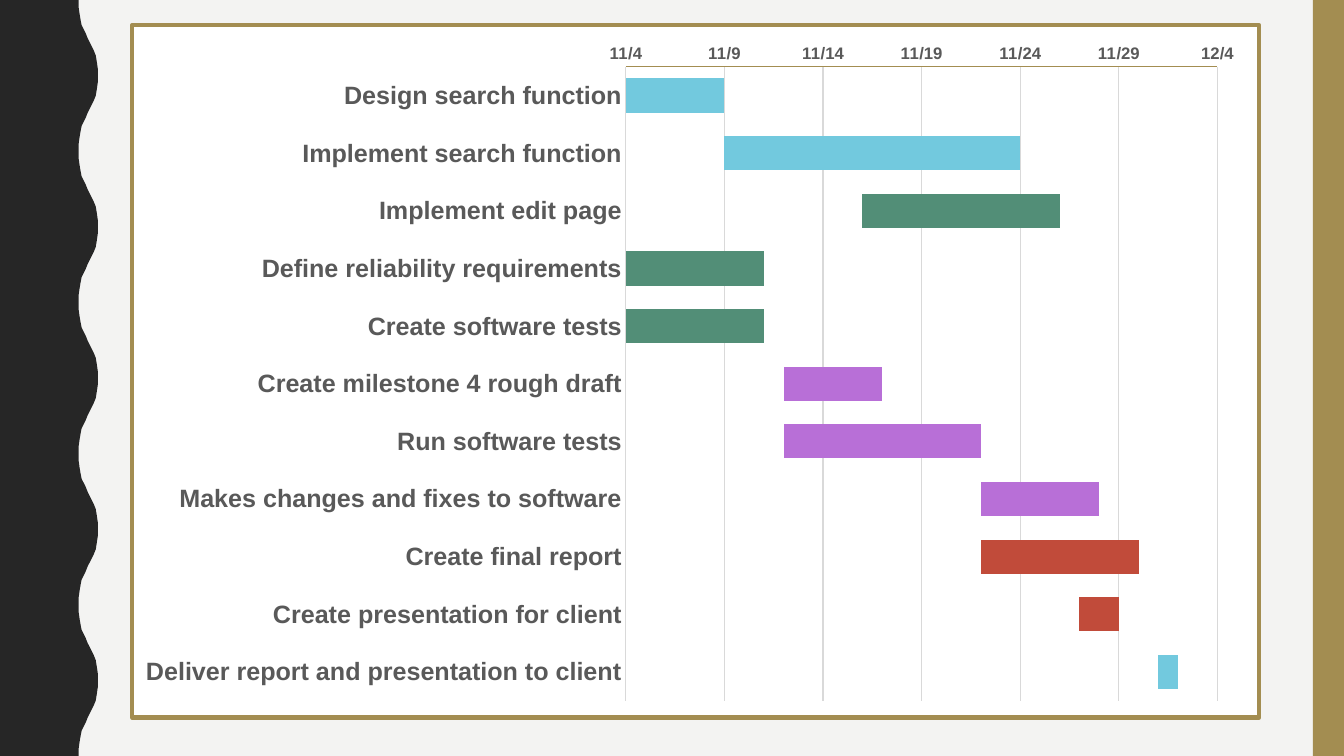
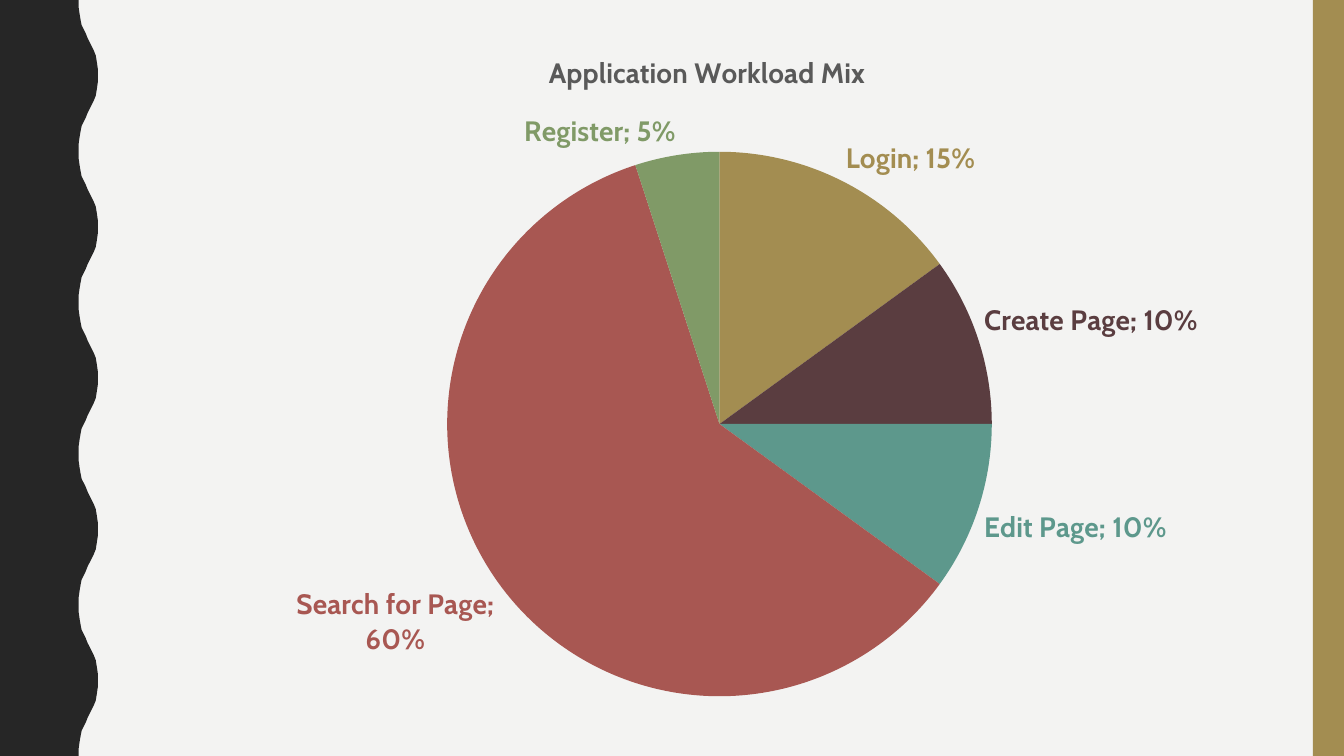
import pptx
import pptx.chart.data
import pptx.dml.color
import pptx.enum.chart
import pptx.enum.shapes
import pptx.oxml
import pptx.oxml.ns
import pptx.util

Inches, Pt = pptx.util.Inches, pptx.util.Pt
XL = pptx.enum.chart
NS = pptx.oxml.ns.nsdecls("c", "a")
qn = pptx.oxml.ns.qn

PAPER, INK, GOLD, GRAY, GRID, WHITE = "F3F3F2", "262626", "A38D51", "595959", "D9D9D9", "FFFFFF"
BLUE, GREEN, PURPLE, RED = "72C9DE", "528E77", "B86FD7", "C14B3A"
TINT = {BLUE: "BBE6EF", GREEN: "AFD3C5", PURPLE: "D5A8E7", RED: "E3B3AA"}

# Half a wave of the left edge, as (x, y); the other half mirrors it
HALF_WAVE = [(0.78, 0), (0.78, 0.07), (0.79, 0.14), (0.8, 0.2), (0.81, 0.25),
             (0.83, 0.29), (0.85, 0.33), (0.87, 0.38), (0.89, 0.42), (0.91, 0.46),
             (0.93, 0.5), (0.95, 0.55), (0.96, 0.61), (0.97, 0.68), (0.97, 0.75)]
WAVE_HEIGHT, WAVES = 1.5, 5

# Task, start (day number), days, days of adjustment, colour
TASKS = [
    ("Design search function", 43043, 5, 0, BLUE),
    ("Implement search function", 43048, 15, -4, BLUE),
    ("Implement edit page", 43055, 10, -6, GREEN),
    ("Define reliability requirements", 43043, 7, 0, GREEN),
    ("Create software tests", 43043, 7, 0, GREEN),
    ("Create milestone 4 rough draft", 43051, 5, 0, PURPLE),
    ("Run software tests", 43051, 10, 0, PURPLE),
    ("Makes changes and fixes to software", 43061, 6, 0, PURPLE),
    ("Create final report", 43061, 8, 0, RED),
    ("Create presentation for client", 43066, 2, 0, RED),
    ("Deliver report and presentation to client", 43070, 1, 0, BLUE),
]

WORKLOAD = [("Login", 0.15, GOLD), ("Create Page", 0.1, "5A3D40"), ("Edit Page", 0.1, "5D988C"),
            ("Search for Page", 0.6, "A85752"), ("Register", 0.05, "809A67")]


def rgb(color):
    return pptx.dml.color.RGBColor.from_string(color)


class Deck:
    """Holds the shared style and the current slide."""

    def __init__(self):
        self.prs = pptx.Presentation()
        self.prs.slide_width, self.prs.slide_height = Inches(13.33), Inches(7.5)

    def fill(self, target, color):
        target.fill.solid()
        target.fill.fore_color.rgb = rgb(color)

    def line(self, fmt, color, width=0.75):
        fmt.line.color.rgb = rgb(color)
        fmt.line.width = Pt(width)

    def font(self, font, size, color, name="Cabin", bold=True):
        font.name, font.size, font.bold = name, Pt(size), bold
        font.color.rgb = rgb(color)

    def band(self, sp, color):
        self.fill(sp, color)
        sp.line.fill.background()
        sp.shadow.inherit = False

    def add_slide(self):
        self.s = self.prs.slides.add_slide(self.prs.slide_layouts[6])
        self.fill(self.s.background, PAPER)
        # Wavy band on the left
        mirrored = [(x, WAVE_HEIGHT - y) for x, y in reversed(HALF_WAVE[:-1])]
        edge = [(Inches(x), Inches(y + i * WAVE_HEIGHT))
                for i in range(WAVES) for x, y in HALF_WAVE + mirrored]
        outline = self.s.shapes.build_freeform(0, 0)
        outline.add_line_segments(edge + [(0, Inches(7.5))], close=True)
        self.band(outline.convert_to_shape(), INK)
        # Gold band on the right
        self.band(self.s.shapes.add_shape(
            pptx.enum.shapes.MSO_SHAPE.RECTANGLE,
            Inches(13.02), 0, Inches(0.31), Inches(7.5)), GOLD)

    def chart(self, kind, box, cats, series, number_format="General"):
        data = pptx.chart.data.CategoryChartData(number_format=number_format)
        data.categories = cats
        for name, values in series:
            data.add_series(name, values)
        chart = self.s.shapes.add_chart(kind, *map(Inches, box), data).chart
        chart.has_legend = chart.has_title = False
        self.font(chart.font, 10, "000000", bold=False)
        return chart

    def frame(self, chart, fill, border, width):
        chart.element.find(qn("c:chart")).addnext(pptx.oxml.parse_xml(
            f'<c:spPr {NS}><a:solidFill><a:srgbClr val="{fill}"/></a:solidFill>'
            f'<a:ln w="{Pt(width)}"><a:solidFill><a:srgbClr val="{border}"/></a:solidFill>'
            '<a:round/></a:ln></c:spPr>'))

    def plot_area(self, chart, x, y, w, h):
        area = chart.element.find(".//" + qn("c:plotArea"))
        for old in area.findall(qn("c:layout")):
            area.remove(old)
        sizes = "".join(f'<c:{k} val="{v}"/>' for k, v in zip("xywh", (x, y, w, h)))
        area.insert(0, pptx.oxml.parse_xml(
            f'<c:layout {NS}><c:manualLayout><c:layoutTarget val="inner"/>'
            f'<c:xMode val="edge"/><c:yMode val="edge"/>{sizes}</c:manualLayout></c:layout>'))

    def color_points(self, series, colors):
        for i, color in enumerate(colors):
            self.fill(series.points[i].format, color)

    def gantt(self, box, tasks):
        names, starts, days, changes, colors = zip(*tasks)
        chart = self.chart(XL.XL_CHART_TYPE.BAR_STACKED, box, names,
                           [("Series 1", starts), ("Series 2", days), ("Series 3", changes)])
        self.frame(chart, WHITE, GOLD, 3)
        self.plot_area(chart, 0.438, 0.06, 0.525, 0.916)
        # Bars: a clear offset, then the days
        plot = chart.plots[0]
        plot.gap_width, plot.overlap, plot.vary_by_categories = 69, 100, False
        offset, work, change = plot.series
        offset.format.fill.background()
        self.color_points(work, colors)
        change.invert_if_negative = False
        self.color_points(change, [TINT[c] for c in colors])
        # Axes
        tasks_axis, dates = chart.category_axis, chart.value_axis
        for axis, size, color in ((tasks_axis, 18, GRID), (dates, 12, GOLD)):
            self.font(axis.tick_labels.font, size, GRAY, "Arial")
            self.line(axis.format, color)
            axis.major_tick_mark = axis.minor_tick_mark = XL.XL_TICK_MARK.NONE
        tasks_axis.reverse_order = True
        dates.minimum_scale, dates.maximum_scale, dates.major_unit = 43043, 43073, 5
        dates.tick_labels.number_format = "m/d"
        dates.tick_labels.number_format_is_linked = False
        self.line(dates.major_gridlines.format, GRID)

    def pie(self, box, title, slices):
        names, shares, colors = zip(*slices)
        chart = self.chart(XL.XL_CHART_TYPE.PIE, box, names, [(title, shares)], "0%")
        chart.has_title = True
        p = chart.chart_title.text_frame.paragraphs[0]
        p.text = title
        self.font(p.font, 20, GRAY)
        # Slices, each with a label in its own colour
        series = chart.plots[0].series[0]
        self.color_points(series, colors)
        labels = series.data_labels
        labels.show_value = labels.show_category_name = True
        labels.number_format, labels.number_format_is_linked = "0%", False
        labels.position = XL.XL_LABEL_POSITION.OUTSIDE_END
        self.font(labels.font, 20, GOLD)
        for i, color in enumerate(colors):
            label = series.points[i].data_label
            self.font(label.font, 20, color)
            label.position = XL.XL_LABEL_POSITION.OUTSIDE_END
        for show in chart.element.iter(qn("c:showCatName")):
            show.set("val", "1")


def main():
    deck = Deck()

    # Schedule
    deck.add_slide()
    deck.gantt((1.29, 0.23, 11.22, 6.91), TASKS)

    # Workload
    deck.add_slide()
    deck.pie((1.26, 0.28, 11.51, 6.93), "Application Workload Mix", WORKLOAD)

    deck.prs.save("out.pptx")


if __name__ == "__main__":
    main()
